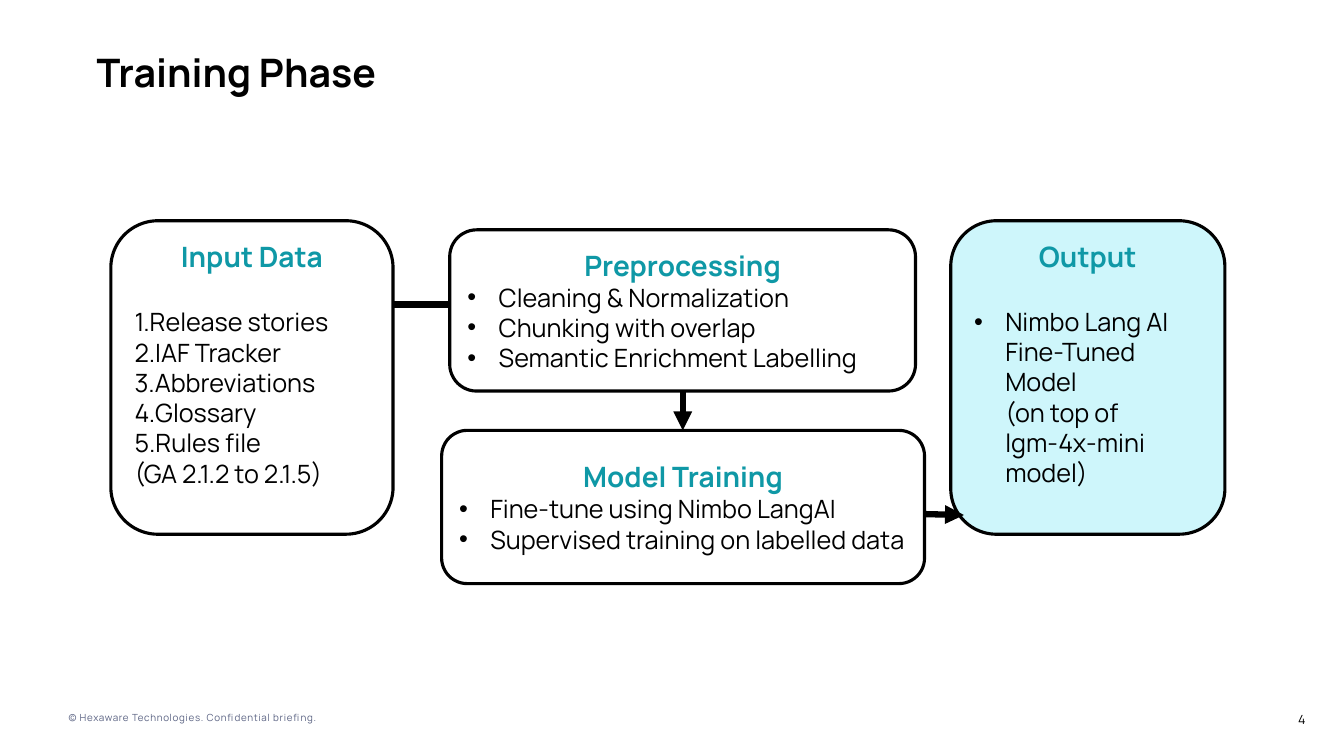
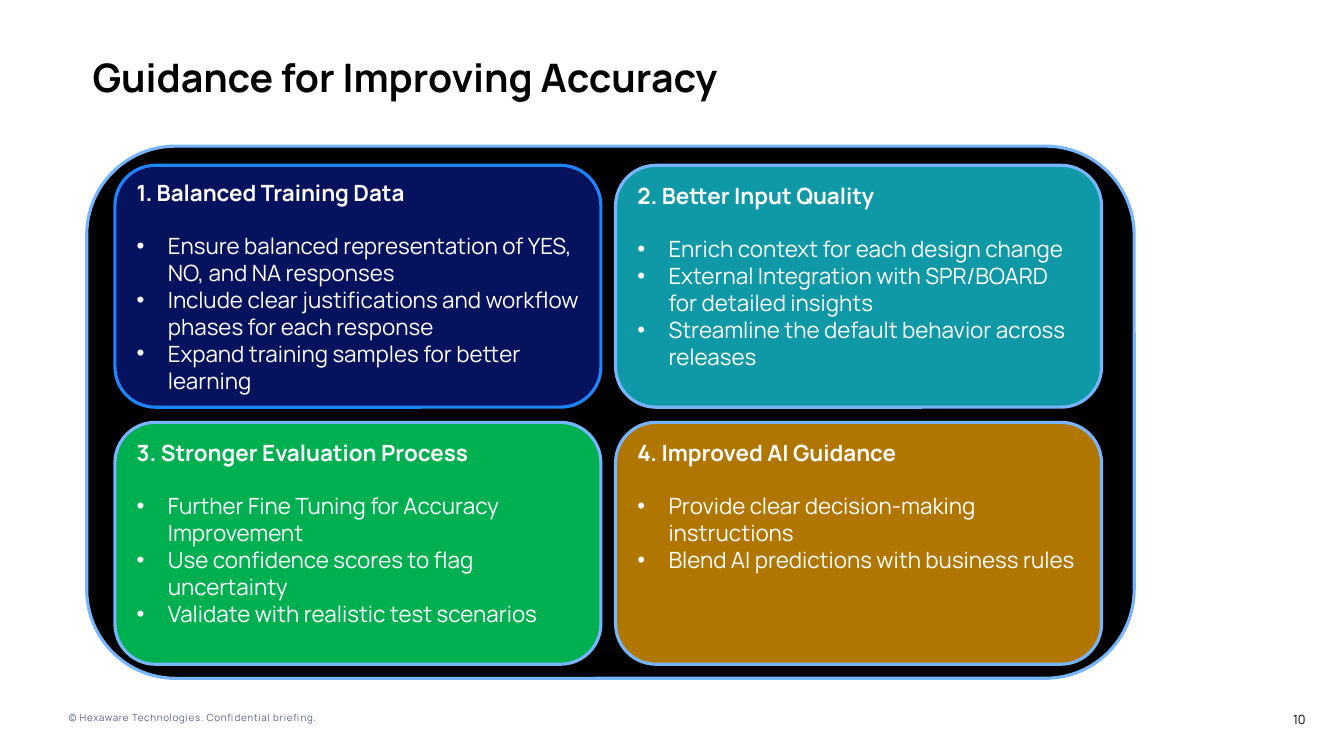
from lxml import etree
from pptx import Presentation
from pptx.dml.color import RGBColor
from pptx.enum.shapes import MSO_CONNECTOR, MSO_SHAPE
from pptx.enum.text import MSO_ANCHOR as Anchor, PP_ALIGN as Align
from pptx.oxml.ns import qn
from pptx.util import Inches, Pt

FONT = "Manrope"
BLACK = RGBColor(0x00, 0x00, 0x00)
WHITE = RGBColor(0xFF, 0xFF, 0xFF)
GREY = RGBColor(0x5B, 0x63, 0x83)
TEAL = RGBColor(0x0F, 0x98, 0xA6)
PALE_CYAN = RGBColor(0xCE, 0xF6, 0xFB)
NAVY = RGBColor(0x07, 0x12, 0x5E)
GREEN = RGBColor(0x00, 0xB0, 0x50)
OCHRE = RGBColor(0xB0, 0x76, 0x00)
SKY = RGBColor(0x77, 0xB6, 0xFF)
BLUE = RGBColor(0x1D, 0x86, 0xFF)

deck = Presentation()
deck.slide_width, deck.slide_height = Inches(13.33), Inches(7.5)

# Grid of 100 columns by 100 rows
COLUMN, ROW = deck.slide_width / 100, deck.slide_height / 100


def add_box(page, frame, fill=None, line=None, anchor=Anchor.TOP):
    """Add a rounded box if it has a line, else a plain one; frame is in grid units."""
    left, top, width, height = frame
    outline = MSO_SHAPE.ROUNDED_RECTANGLE if line is not None else MSO_SHAPE.RECTANGLE
    box = page.shapes.add_shape(outline, int(left * COLUMN), int(top * ROW),
                                int(width * COLUMN), int(height * ROW))
    box.shadow.inherit = False
    if fill is None:
        box.fill.background()
    else:
        box.fill.solid()
        box.fill.fore_color.rgb = fill
    if line is None:
        box.line.fill.background()
    else:
        box.line.color.rgb = line
        box.line.width = Pt(2.25)
    box.text_frame.word_wrap = True
    box.text_frame.vertical_anchor = anchor
    return box


def add_para(box, text, size, color, bold=False, align=Align.LEFT, bullet=False, after=0):
    """Fill the empty first paragraph of the box, or add another."""
    frame = box.text_frame
    para = frame.add_paragraph() if frame.text else frame.paragraphs[0]
    para.text = text
    para.alignment = align
    para.space_after = Pt(after)
    if bullet:
        props = para._p.get_or_add_pPr()
        props.set("marL", str(Inches(0.31)))
        props.set("indent", str(-Inches(0.31)))
        etree.SubElement(props, qn("a:buFont")).set("typeface", "Arial")
        etree.SubElement(props, qn("a:buChar")).set("char", "•")
    font = para.font
    font.name, font.size, font.bold = FONT, Pt(size), bold
    font.color.rgb = color
    return para


# Shared parts: title, copyright line, page number
pages = []
for title, left, top, number in [
    ("Training Phase", 6.45, 2.67, "4"),
    ("Guidance for Improving Accuracy", 6.15, 3.33, "10"),
]:
    page = deck.slides.add_slide(deck.slide_layouts[6])
    pages.append(page)
    title_box = add_box(page, (left, top, 77.04, 10.8), WHITE)
    add_para(title_box, title, 28, BLACK, bold=True).line_spacing = 1.5

    copyright_box = add_box(page, (5.1, 94.13, 22.8, 1.6))
    number_box = add_box(page, (94.9, 94.13, 2.25, 2))
    for box in (copyright_box, number_box):
        frame = box.text_frame
        frame.margin_left = frame.margin_right = frame.margin_top = frame.margin_bottom = 0
    para = add_para(copyright_box, "© Hexaware Technologies. Confidential briefing.", 7, GREY)
    para.runs[0]._r.get_or_add_rPr().set("spc", "50")
    add_para(number_box, number, 9, BLACK, align=Align.RIGHT)

training_page, guidance_page = pages

# Training flow: the two tall boxes leave a gap below the heading
TALL_TOP, TALL_HEIGHT = 29.2, 41.47
steps = [
    ("Input Data", (8.25, TALL_TOP, 21, TALL_HEIGHT), WHITE, Anchor.TOP, 24, False,
     ["1.Release stories", "2.IAF Tracker", "3.Abbreviations", "4.Glossary",
      "5.Rules file", "(GA 2.1.2 to 2.1.5)"]),
    ("Output", (70.74, TALL_TOP, 20.4, TALL_HEIGHT), PALE_CYAN, Anchor.TOP, 24, True,
     ["Nimbo Lang AI Fine-Tuned Model\n(on top of lgm-4x-mini model)"]),
    ("Model Training", (32.86, 56.93, 35.93, 20.27), WHITE, Anchor.MIDDLE, 0, True,
     ["Fine-tune using Nimbo LangAI", "Supervised training on labelled data"]),
    ("Preprocessing", (33.46, 30.4, 34.66, 21.33), WHITE, Anchor.MIDDLE, 0, True,
     ["Cleaning & Normalization", "Chunking with overlap", "Semantic Enrichment Labelling"]),
]
arrows = [
    (29.2, 40.27, 36.83, 40.27),
    (68.72, 68, 71.72, 68.13),
    (50.8, 51.73, 50.8, 56.93),
]
for heading, frame, fill, anchor, gap, bullet, items in steps:
    # Arrows lie under the preprocessing box and over the others
    if heading == "Preprocessing":
        for x1, y1, x2, y2 in arrows:
            arrow = training_page.shapes.add_connector(
                MSO_CONNECTOR.STRAIGHT, int(x1 * COLUMN), int(y1 * ROW),
                int(x2 * COLUMN), int(y2 * ROW))
            arrow.line.color.rgb = BLACK
            arrow.line.width = Pt(4.5)
            etree.SubElement(arrow.line._get_or_add_ln(), qn("a:tailEnd")).set("type", "triangle")
            etree.SubElement(arrow._element.spPr, qn("a:effectLst"))
    box = add_box(training_page, frame, fill, BLACK, anchor)
    add_para(box, heading, 20, TEAL, bold=True, align=Align.CENTER, after=gap)
    for item in items:
        add_para(box, item, 18, BLACK, bullet=bullet)

# Guidance cards: two by two on a black panel
add_box(guidance_page, (6.45, 19.33, 77.94, 70.4), BLACK, SKY)
cards = [
    ("1. Balanced Training Data", NAVY, BLUE, Anchor.MIDDLE,
     ["Ensure balanced representation of YES, NO, and NA responses",
      "Include clear justifications and workflow phases for each response",
      "Expand training samples for better learning"]),
    ("2. Better Input Quality", TEAL, SKY, Anchor.TOP,
     ["Enrich context for each design change",
      "External Integration with SPR/BOARD for detailed insights",
      "Streamline the default behavior across releases"]),
    ("3. Stronger Evaluation Process", GREEN, SKY, Anchor.TOP,
     ["Further Fine Tuning for Accuracy Improvement",
      "Use confidence scores to flag uncertainty",
      "Validate with realistic test scenarios"]),
    ("4. Improved AI Guidance", OCHRE, SKY, Anchor.TOP,
     ["Provide clear decision-making instructions",
      "Blend AI predictions with business rules"]),
]
for index, (heading, fill, line, anchor, items) in enumerate(cards):
    row, column = divmod(index, 2)
    frame = (8.55 + column * 37.25, 21.87 + row * 34, 36.16, 32)
    card = add_box(guidance_page, frame, fill, line, anchor)
    add_para(card, heading, 16, WHITE, bold=True, after=19)
    for item in items:
        add_para(card, item, 16, WHITE, bullet=True)

deck.save("out.pptx")
